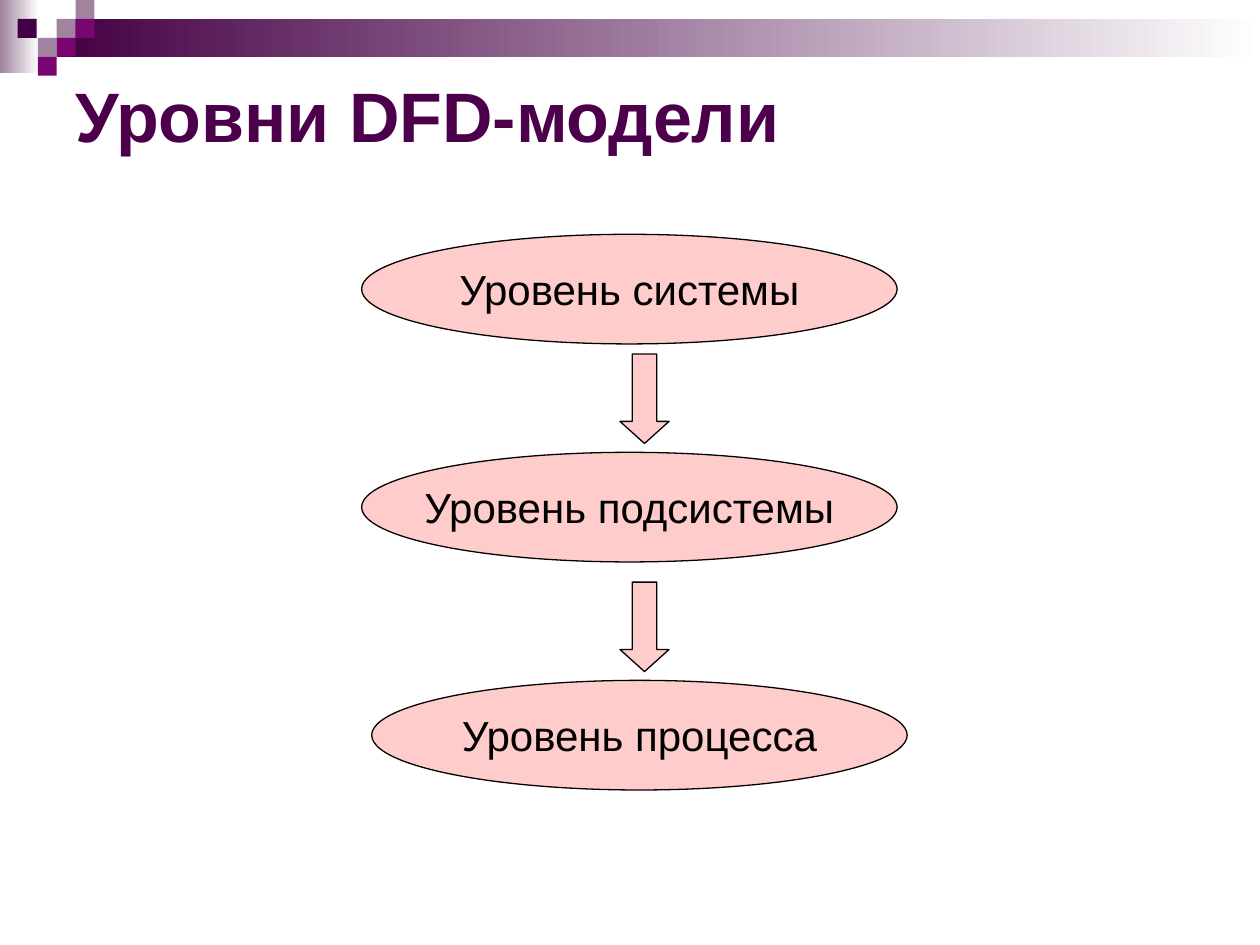
from pptx import Presentation
from pptx.dml.color import RGBColor
from pptx.enum.shapes import MSO_SHAPE
from pptx.enum.text import MSO_ANCHOR, PP_ALIGN
from pptx.util import Inches, Pt

COLORS = {
    "title": "4C004C",
    "dark": "440044",
    "bright": "790571",
    "pale": "9F839F",
    "white": "FFFFFF",
    "pink": "FFCCCC",
    "black": "000000",
}


class SlideBuilder:
    """Holds the style and the current slide."""

    font = "Arial"

    def __init__(self, page):
        self.page = page

    def color(self, name):
        return RGBColor.from_string(COLORS[name])

    def shape(self, kind, left, top, width, height):
        shape = self.page.shapes.add_shape(
            kind, Inches(left), Inches(top), Inches(width), Inches(height))
        shape.shadow.inherit = False
        return shape

    def square(self, left, top, fill, size=0.15):
        square = self.shape(MSO_SHAPE.RECTANGLE, left, top, size, size)
        square.fill.solid()
        square.fill.fore_color.rgb = self.color(fill)
        square.line.fill.background()

    def gradient_bar(self, left, top, width, height, start):
        bar = self.shape(MSO_SHAPE.RECTANGLE, left, top, width, height)
        bar.fill.gradient()
        bar.fill.gradient_angle = 0
        for stop, name, position in zip(bar.fill.gradient_stops, (start, "white"), (0, 1)):
            stop.color.rgb = self.color(name)
            stop.position = position
        bar.line.fill.background()

    def outlined(self, kind, left, top, width, height):
        shape = self.shape(kind, left, top, width, height)
        shape.fill.solid()
        shape.fill.fore_color.rgb = self.color("pink")
        shape.line.color.rgb = self.color("black")
        shape.line.width = Pt(0.75)
        return shape

    def set_text(self, box, text, size, color, align, bold=False):
        frame = box.text_frame
        frame.text = text
        frame.vertical_anchor = MSO_ANCHOR.MIDDLE
        para = frame.paragraphs[0]
        para.alignment = align
        span = para.runs[0]
        span.font.name = self.font
        span.font.size = Pt(size)
        span.font.bold = bold
        span.font.color.rgb = self.color(color)

    def title(self, text):
        box = self.page.shapes.add_textbox(
            Inches(0.5), Inches(0.5), Inches(9), Inches(0.81))
        box.text_frame.word_wrap = True
        self.set_text(box, text, 40, "title", PP_ALIGN.LEFT, bold=True)

    def level(self, left, top, text):
        ellipse = self.outlined(MSO_SHAPE.OVAL, left, top, 4.25, 0.87)
        ellipse.text_frame.word_wrap = False
        self.set_text(ellipse, text, 24, "black", PP_ALIGN.CENTER)

    def down_arrow(self, left, top):
        arrow = self.outlined(MSO_SHAPE.DOWN_ARROW, left, top, 0.39, 0.71)
        arrow.adjustments[0] = 0.5
        arrow.adjustments[1] = 0.45


def main():
    deck = Presentation()
    deck.slide_width = Inches(10)
    deck.slide_height = Inches(7.5)
    builder = SlideBuilder(deck.slides.add_slide(deck.slide_layouts[6]))

    # Header bars
    builder.gradient_bar(0, 0, 0.31, 0.58, "pale")
    builder.gradient_bar(0.45, 0.15, 9.55, 0.3, "dark")

    # Header mosaic
    for left, top, fill in (
        (0.45, 0.15, "pale"),
        (0.6, 0, "pale"),
        (0.6, 0.15, "bright"),
        (0.3, 0.3, "pale"),
        (0.14, 0.15, "dark"),
        (0.45, 0.3, "bright"),
        (0.3, 0.45, "bright"),
    ):
        builder.square(left, top, fill)

    builder.title("Уровни DFD-модели")

    # Levels from top to bottom
    for left, top, text in (
        (2.87, 1.86, "Уровень системы"),
        (2.87, 3.59, "Уровень подсистемы"),
        (2.95, 5.4, "Уровень процесса"),
    ):
        builder.level(left, top, text)

    # Arrows between levels
    for top in (2.81, 4.62):
        builder.down_arrow(4.92, top)

    deck.save("out.pptx")


if __name__ == "__main__":
    main()
